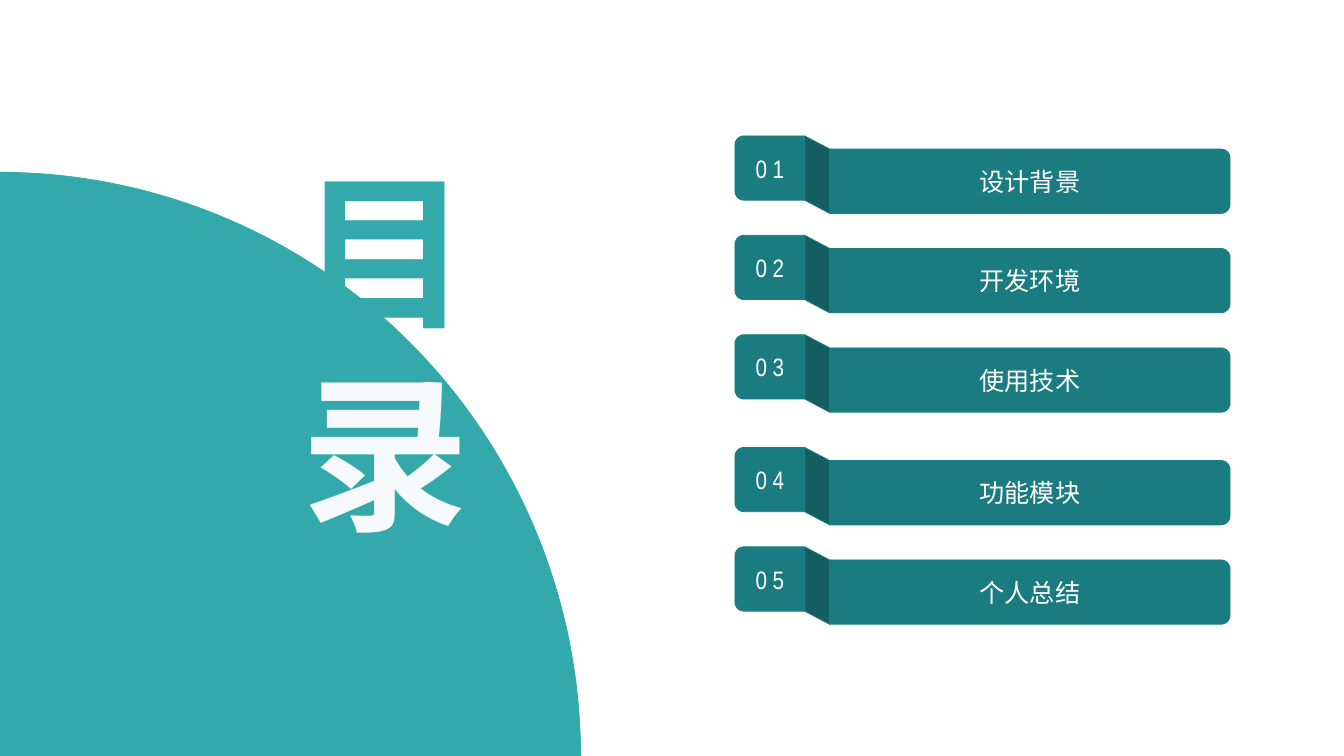
import math

from lxml import etree
from pptx import Presentation
from pptx.dml.color import RGBColor
from pptx.enum import text
from pptx.oxml import ns
from pptx.util import Pt

TITLE = ["目", "录"]
AGENDA = [("0 1", "设计背景"), ("0 2", "开发环境"), ("0 3", "使用技术"),
          ("0 4", "功能模块"), ("0 5", "个人总结")]

TEAL = RGBColor(0x33, 0xA9, 0xAB)
DARK_TEAL = RGBColor(0x1A, 0x7B, 0x80)
FOLD_TEAL = RGBColor(0x14, 0x5E, 0x62)
WHITE = RGBColor(0xFF, 0xFF, 0xFF)
PALE = RGBColor(0xF7, 0xFA, 0xFD)
CJK, LATIN = "Noto Sans CJK SC", "Arial Narrow"

SLIDE_W, SLIDE_H = 960, 540
DISC_RX, DISC_RY = 414.7, 416.9
TAB_LEFT, TAB_RIGHT, BAR_LEFT, BAR_RIGHT = 525, 574.8, 592.6, 878.6
FIRST_TOP, PITCH, BAR_H, DROP, RADIUS = 97.1, 71, 45.9, 9.4, 6.4
SECOND_BLOCK, BLOCK_GAP = 3, 9.5


def arc(cx, cy, rx, ry, start, end, steps):
    """Points of an elliptical arc, angles in degrees clockwise from the right."""
    angles = [math.radians(start + (end - start) * i / steps) for i in range(steps + 1)]
    return [(cx + rx * math.cos(a), cy + ry * math.sin(a)) for a in angles]


def half_rounded(flat_x, round_x, top):
    """Box outline with two rounded corners on the round_x side."""
    r = math.copysign(RADIUS, round_x - flat_x)
    cx, bottom = round_x - r, top + BAR_H
    return ([(flat_x, top)]
            + arc(cx, top + RADIUS, r, RADIUS, -90, 0, 8)
            + arc(cx, bottom - RADIUS, r, RADIUS, 0, 90, 8)
            + [(flat_x, bottom)])


def add_outline(shapes, points, fill, line):
    corners = [(Pt(x), Pt(y)) for x, y in points]
    builder = shapes.build_freeform(*corners[0])
    builder.add_line_segments(corners[1:], close=True)
    sp = builder.convert_to_shape()
    sp.shadow.inherit = False
    sp.fill.solid()
    sp.fill.fore_color.rgb = fill
    sp.line.color.rgb = line
    sp.line.width = Pt(0.6)
    return sp


def write(p, content, size=18, font=CJK, color=WHITE, bold=False,
          align=text.PP_ALIGN.CENTER):
    p.alignment = align
    r = p.add_run()
    r.text = content
    r.font.size, r.font.name, r.font.bold = Pt(size), font, bold
    r.font.color.rgb = color
    ea = etree.Element(ns.qn("a:ea"), typeface=font)
    r.font._element.find(ns.qn("a:latin")).addnext(ea)
    return r


def set_frame(sp, anchor, left=0, top=0, right=0, bottom=0):
    tf = sp.text_frame
    tf.word_wrap = True
    tf.auto_size = text.MSO_AUTO_SIZE.NONE
    tf.vertical_anchor = anchor
    tf.margin_left, tf.margin_top = Pt(left), Pt(top)
    tf.margin_right, tf.margin_bottom = Pt(right), Pt(bottom)
    return tf


def add_agenda_item(slide, top, number, label):
    shapes = slide.shapes.add_group_shape().shapes
    low = top + DROP
    bar = add_outline(shapes, half_rounded(BAR_LEFT, BAR_RIGHT, low), DARK_TEAL, DARK_TEAL)
    fold = [(TAB_RIGHT, top), (BAR_LEFT, low),
            (BAR_LEFT, low + BAR_H), (TAB_RIGHT, top + BAR_H)]
    add_outline(shapes, fold, FOLD_TEAL, DARK_TEAL)
    tab = add_outline(shapes, half_rounded(TAB_RIGHT, TAB_LEFT, top), DARK_TEAL, DARK_TEAL)
    for sp, content, font in ((bar, label, CJK), (tab, number, LATIN)):
        tf = set_frame(sp, text.MSO_ANCHOR.MIDDLE)
        write(tf.paragraphs[0], content, font=font)


def format_title(slide):
    title = slide.shapes.title
    title.left, title.top, title.width, title.height = Pt(208), Pt(93), Pt(220), Pt(298)
    tf = set_frame(title, text.MSO_ANCHOR.TOP, left=7.2, top=12.6, right=7.2)
    for i, character in enumerate(TITLE):
        p = tf.add_paragraph() if i else tf.paragraphs[0]
        p.line_spacing = Pt(144)
        r = write(p, character, size=120, color=TEAL, bold=True,
                  align=text.PP_ALIGN.JUSTIFY)
    fill = r.font.fill
    fill.gradient()
    fill.gradient_angle = 40
    for stop, position, color in zip(fill.gradient_stops, (0.61, 0.62), (PALE, TEAL)):
        stop.position = position
        stop.color.rgb = color
    # The title lies in front of the disc.
    slide.shapes._spTree.append(title._element)


def main():
    prs = Presentation()
    prs.slide_width, prs.slide_height = Pt(SLIDE_W), Pt(SLIDE_H)
    slide = prs.slides.add_slide(prs.slide_layouts[5])
    disc = [(0, SLIDE_H)] + arc(0, SLIDE_H, DISC_RX, DISC_RY, -90, 0, 90)
    add_outline(slide.shapes, disc, TEAL, TEAL)
    for i, (number, label) in enumerate(AGENDA):
        top = FIRST_TOP + i * PITCH + (BLOCK_GAP if i >= SECOND_BLOCK else 0)
        add_agenda_item(slide, top, number, label)
    format_title(slide)
    prs.save("out.pptx")


if __name__ == "__main__":
    main()
